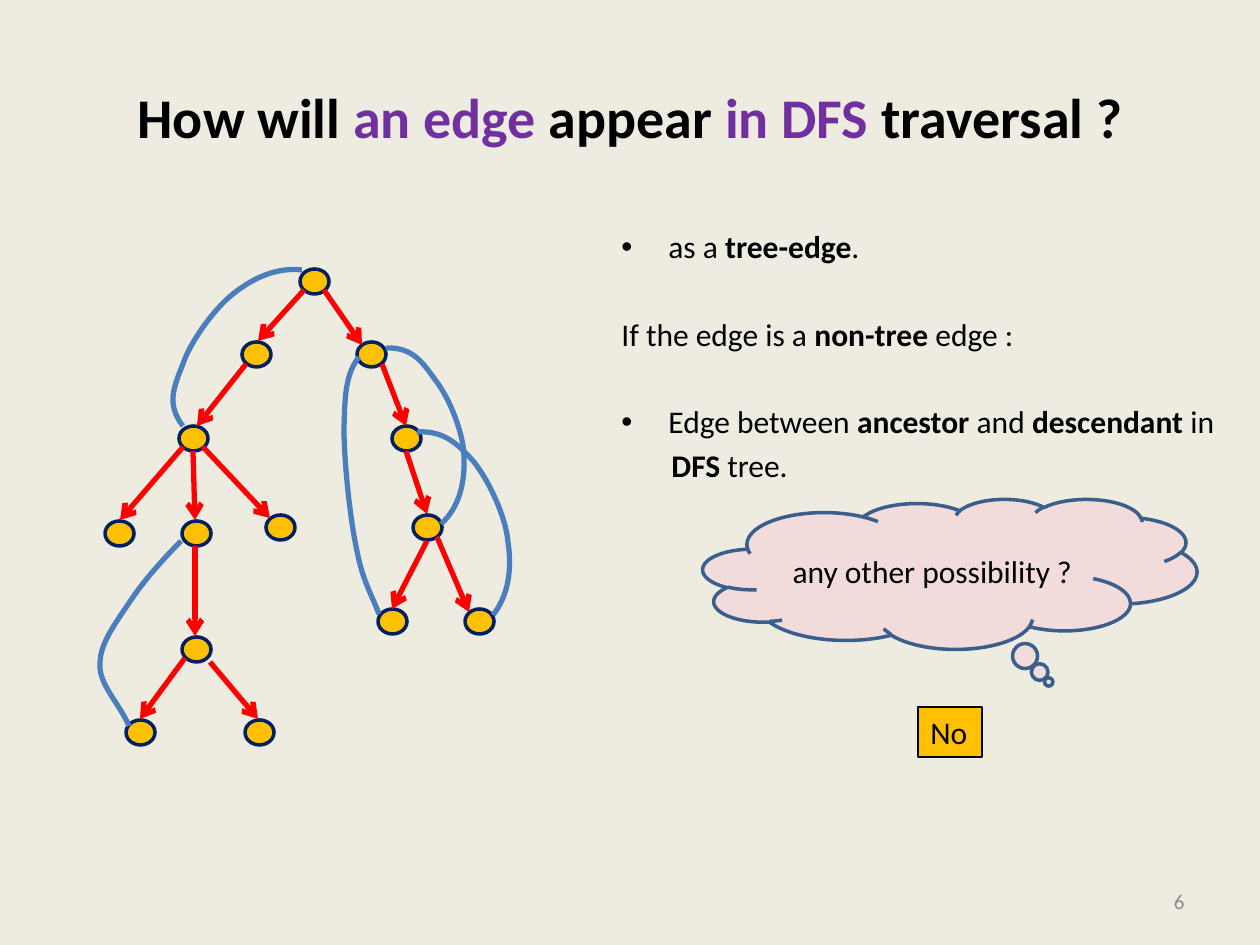
import dataclasses
import typing

import lxml.etree
import pptx
import pptx.dml.color
import pptx.enum.dml
import pptx.enum.shapes
import pptx.enum.text
import pptx.oxml.ns
import pptx.util

EMU_PER_PX = 914400 / 126
Point = tuple[int, int]
SHAPES = pptx.enum.shapes.MSO_SHAPE
ALIGN = pptx.enum.text.PP_ALIGN
ANCHOR = pptx.enum.text.MSO_ANCHOR


@dataclasses.dataclass(frozen=True)
class Theme:
    font: str = "Calibri"
    background: str = "EEECE1"
    ink: str = "000000"
    accent: str = "7030A0"
    muted: str = "8C8C8C"
    gold: str = "FFC000"
    navy: str = "002060"
    tree_edge: str = "FF0000"
    back_edge: str = "4B7EBC"
    cloud: str = "F2DCDB"
    cloud_line: str = "3A5F8C"
    title_size: int = 32
    body_size: int = 18
    number_size: int = 12


THEME = Theme()


class Box(typing.NamedTuple):
    left: int
    top: int
    width: int
    height: int


class Span(typing.NamedTuple):
    text: str
    bold: bool = False
    color: str = THEME.ink


@dataclasses.dataclass(frozen=True)
class Para:
    spans: list[Span]
    size: int = THEME.body_size
    align: typing.Any = ALIGN.LEFT
    before: float = 0
    indent: int = 0
    bullet: bool = False


class Edge(typing.NamedTuple):
    start: Point
    end: Point


NODE_WIDTH, NODE_HEIGHT = 29, 25
NODES: list[Point] = [
    (314, 281), (256, 354), (371, 354), (193, 438), (196, 533), (280, 527), (196, 649),
    (140, 732), (259, 732), (119, 533), (406, 438), (427, 527), (479, 621), (392, 621),
]
TREE_EDGES = [
    Edge((304, 290), (258, 341)), Edge((246, 364), (197, 426)),
    Edge((183, 447), (120, 520)), Edge((193, 451), (195, 520)),
    Edge((203, 447), (270, 518)), Edge((195, 546), (195, 636)),
    Edge((210, 662), (258, 719)), Edge((185, 658), (140, 719)),
    Edge((437, 537), (469, 612)), Edge((382, 364), (406, 426)),
    Edge((406, 451), (427, 514)), Edge((324, 290), (362, 345)),
    Edge((427, 541), (392, 609)),
]
BACK_EDGES: list[list[Point]] = [
    [(441, 524), (460, 507), (465, 481), (464, 457), (464, 435),
     (450, 399), (436, 381), (423, 363), (413, 347), (386, 348)],
    [(379, 614), (370, 591), (363, 581), (357, 551), (350, 519),
     (344, 461), (344, 428), (345, 397), (345, 375), (359, 357)],
    [(129, 726), (120, 704), (98, 684), (100, 663), (100, 643),
     (117, 621), (131, 600), (144, 580), (168, 554), (181, 541)],
    [(302, 270), (277, 267), (253, 278), (233, 294), (213, 310),
     (190, 343), (183, 364), (174, 387), (166, 404), (183, 426)],
    [(493, 615), (509, 595), (512, 568), (508, 542), (506, 517),
     (489, 481), (474, 462), (459, 445), (444, 430), (417, 432)],
]
TITLE = Para([
    Span("How will", True), Span(" an edge ", True, THEME.accent), Span("appear", True),
    Span(" in DFS ", True, THEME.accent), Span("traversal ?", True),
], size=THEME.title_size, align=ALIGN.CENTER)
BODY = [
    Para([Span("as a "), Span("tree-edge", True), Span(".")], indent=47, bullet=True),
    Para([Span("If the edge is a "), Span("non-tree", True), Span(" edge :")], before=28.4),
    Para([Span("Edge between "), Span("ancestor", True), Span(" and "),
          Span("descendant", True), Span(" in")], before=28.4, indent=47, bullet=True),
    Para([Span("DFS", True), Span(" tree.")], before=3.2, indent=50),
]


def px(length: float) -> pptx.util.Emu:
    return pptx.util.Emu(round(length * EMU_PER_PX))


def rgb(color: str) -> pptx.dml.color.RGBColor:
    return pptx.dml.color.RGBColor.from_string(color)


def add_xml(parent: typing.Any, tag: str, **attributes: str) -> None:
    lxml.etree.SubElement(parent, pptx.oxml.ns.qn(tag), attributes)


def set_line(shape: typing.Any, color: str, width: float) -> None:
    shape.line.color.rgb = rgb(color)
    shape.line.width = pptx.util.Pt(width)


def write(shape: typing.Any, paras: list[Para], anchor: typing.Any, wrap: bool = True) -> None:
    frame = shape.text_frame
    frame.word_wrap = wrap
    frame.vertical_anchor = anchor
    for index, para in enumerate(paras):
        paragraph = frame.add_paragraph() if index else frame.paragraphs[0]
        paragraph.alignment = para.align
        paragraph.space_before = pptx.util.Pt(para.before)
        properties = paragraph._p.get_or_add_pPr()
        properties.set("marL", str(px(para.indent)))
        if para.bullet:
            properties.set("indent", str(-px(para.indent)))
            add_xml(properties, "a:buFont", typeface="Arial")
            add_xml(properties, "a:buChar", char="•")
        for span in para.spans:
            run = paragraph.add_run()
            run.text = span.text
            run.font.name = THEME.font
            run.font.size = pptx.util.Pt(para.size)
            run.font.bold = span.bold
            run.font.color.rgb = rgb(span.color)


def add_text(page: typing.Any, box: Box, paras: list[Para], anchor: typing.Any) -> None:
    write(page.shapes.add_textbox(*map(px, box)), paras, anchor)


def add_filled(shapes: typing.Any, kind: typing.Any, box: Box, fill: str,
               line: str, width: float) -> typing.Any:
    shape = shapes.add_shape(kind, *map(px, box))
    shape.shadow.inherit = False
    shape.fill.solid()
    shape.fill.fore_color.rgb = rgb(fill)
    set_line(shape, line, width)
    return shape


def add_node(shapes: typing.Any, center: Point) -> None:
    box = Box(center[0] - NODE_WIDTH // 2, center[1] - NODE_HEIGHT // 2, NODE_WIDTH, NODE_HEIGHT)
    add_filled(shapes, SHAPES.OVAL, box, THEME.gold, THEME.navy, 2)


def add_tree_edge(shapes: typing.Any, edge: Edge) -> None:
    straight = pptx.enum.shapes.MSO_CONNECTOR.STRAIGHT
    connector = shapes.add_connector(straight, *map(px, edge.start + edge.end))
    set_line(connector, THEME.tree_edge, 3)
    add_xml(connector.line._get_or_add_ln(), "a:tailEnd", type="arrow")
    add_xml(connector._element.spPr, "a:effectLst")


def add_back_edge(page: typing.Any, points: list[Point]) -> None:
    builder = page.shapes.build_freeform(*points[0], scale=EMU_PER_PX)
    builder.add_line_segments(points[1:], close=False)
    curve = builder.convert_to_shape()
    curve.shadow.inherit = False
    curve.fill.background()
    set_line(curve, THEME.back_edge, 3)
    segments = list(curve._element.iter(pptx.oxml.ns.qn("a:lnTo")))
    for first in range(0, len(segments), 3):
        outline = segments[first].getparent()
        bezier = lxml.etree.SubElement(outline, pptx.oxml.ns.qn("a:cubicBezTo"))
        for segment in segments[first:first + 3]:
            bezier.append(segment[0])
            outline.remove(segment)


def main() -> None:
    deck = pptx.Presentation()
    deck.slide_width, deck.slide_height = px(1260), px(945)
    page = deck.slides.add_slide(deck.slide_layouts[6])
    page.background.fill.solid()
    page.background.fill.fore_color.rgb = rgb(THEME.background)

    add_text(page, Box(63, 38, 1134, 157), [TITLE], ANCHOR.MIDDLE)
    add_text(page, Box(609, 221, 651, 624), BODY, ANCHOR.TOP)
    number = Para([Span("6", color=THEME.muted)], THEME.number_size, ALIGN.RIGHT)
    add_text(page, Box(903, 876, 294, 50), [number], ANCHOR.MIDDLE)

    tree = page.shapes.add_group_shape()
    for center in NODES:
        add_node(tree.shapes, center)
    for edge in TREE_EDGES:
        add_tree_edge(tree.shapes, edge)
    for points in BACK_EDGES:
        add_back_edge(page, points)

    answer = add_filled(page.shapes, SHAPES.RECTANGLE, Box(918, 707, 64, 50),
                        THEME.gold, THEME.ink, 0.75)
    write(answer, [Para([Span("No")])], ANCHOR.TOP, wrap=False)
    cloud = add_filled(page.shapes, SHAPES.CLOUD_CALLOUT, Box(703, 499, 494, 150),
                       THEME.cloud, THEME.cloud_line, 2)
    cloud.adjustments[0], cloud.adjustments[1] = 0.2, 0.72
    write(cloud, [Para([Span("any other possibility ?")], align=ALIGN.CENTER)], ANCHOR.MIDDLE)

    deck.save("out.pptx")


if __name__ == "__main__":
    main()
